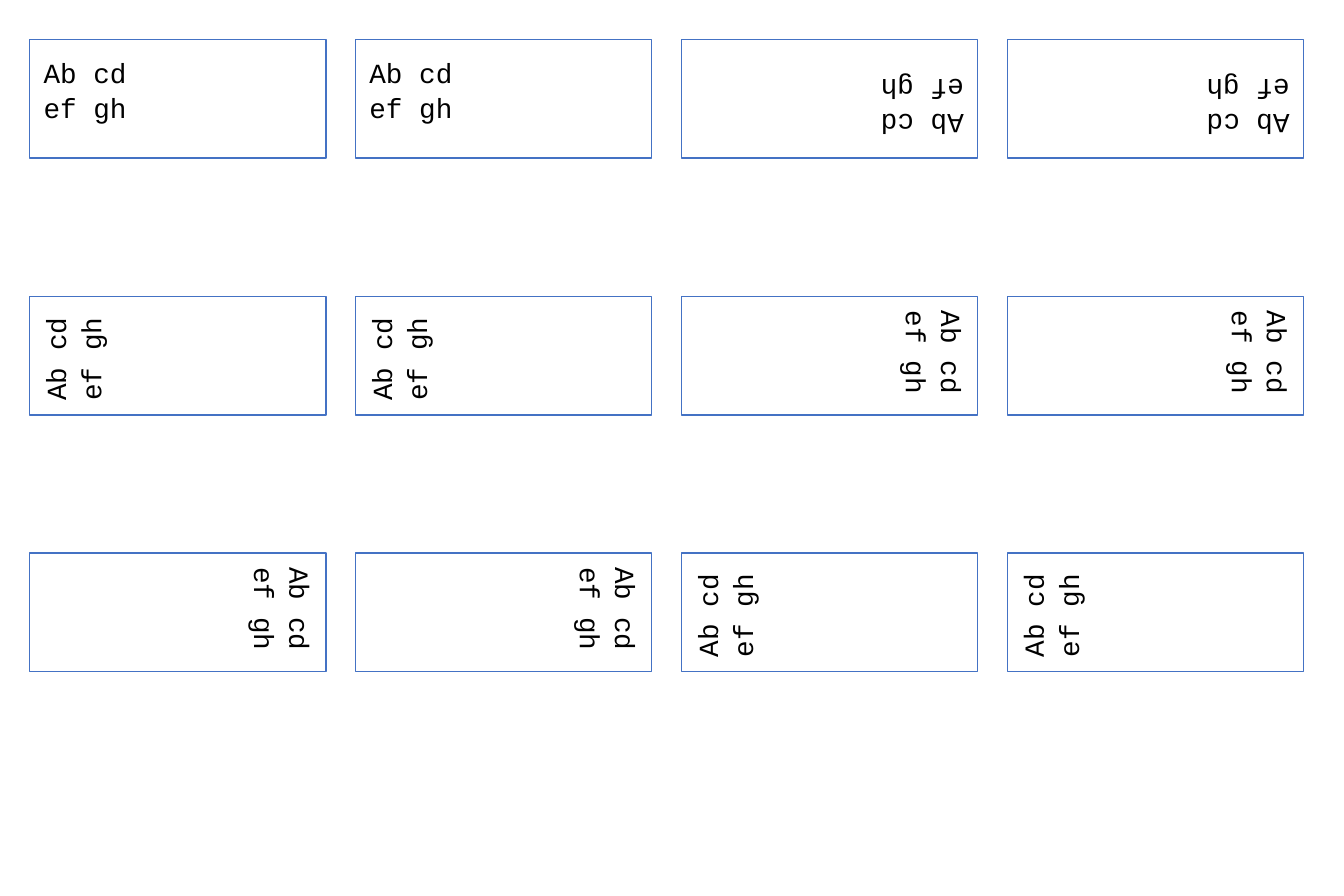
from pptx import Presentation
from pptx.dml.color import RGBColor
from pptx.enum.shapes import MSO_SHAPE
from pptx.enum.text import MSO_ANCHOR, PP_ALIGN
from pptx.oxml.ns import qn
from pptx.util import Pt

BLUE = RGBColor(0x44, 0x72, 0xC4)
BLACK = RGBColor(0, 0, 0)
LINES = ["Ab cd", "ef gh"]
TURNS = ["horz", "vert270", "vert"]
FLIPS = [[], ["flipH"], ["flipV"], ["flipH", "flipV"]]


def add_box(slide, left, top, flips):
    """Draw an outlined box, mirrored along the given axes."""
    box = slide.shapes.add_shape(
        MSO_SHAPE.RECTANGLE, Pt(left), Pt(top), Pt(150), Pt(60))
    box.shadow.inherit = False
    box.fill.background()
    box.line.color.rgb = BLUE
    box.line.width = Pt(0.75)
    frame = box.element.spPr.find(qn("a:xfrm"))
    for flip in flips:
        frame.set(flip, "1")
    return box


def add_text(box, turn):
    """Write the two lines in a box, in the given text direction."""
    text = box.text_frame
    text.word_wrap = True
    text.vertical_anchor = MSO_ANCHOR.TOP
    text.margin_left = text.margin_right = Pt(7.2)
    text.margin_top = text.margin_bottom = Pt(7.2)
    box.element.txBody.find(qn("a:bodyPr")).set("vert", turn)
    for i, line in enumerate(LINES):
        para = text.add_paragraph() if i else text.paragraphs[0]
        para.alignment = PP_ALIGN.LEFT
        para.line_spacing = 1.06
        run = para.add_run()
        run.text = line
        run.font.name = "Courier New"
        run.font.size = Pt(14)
        run.font.color.rgb = BLACK


def main():
    """Build the grid: one text direction a row, one flip a column."""
    deck = Presentation()
    deck.slide_width, deck.slide_height = Pt(680.4), Pt(453.6)
    slide = deck.slides.add_slide(deck.slide_layouts[6])
    for row, turn in enumerate(TURNS):
        for col, flips in enumerate(FLIPS):
            box = add_box(slide, 15 + 165 * col, 20 + 130 * row, flips)
            add_text(box, turn)
    deck.save("out.pptx")


if __name__ == "__main__":
    main()
